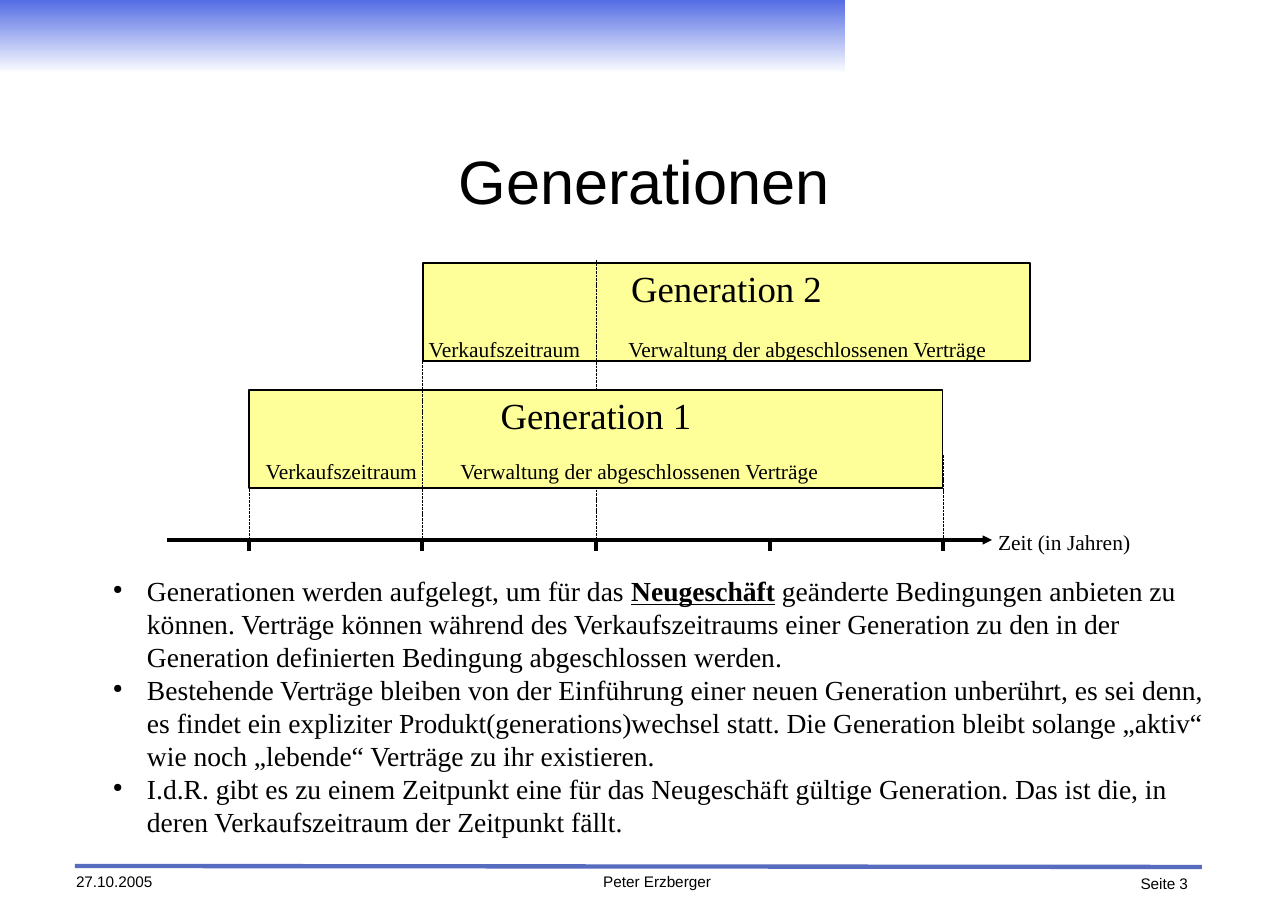
import pptx
import pptx.util
import pptx.dml.color
import pptx.enum.dml
import pptx.enum.shapes
import pptx.enum.text
import lxml.etree

# Content
TITLE = "Generationen"
SALE = "Verkaufszeitraum"
ADMIN = "Verwaltung der abgeschlossenen Verträge"
AXIS_LABEL = "Zeit (in Jahren)"
# name, left, top, width, labels as (text, left, width), label top
GENERATION_2 = ("Generation 2", 423, 263, 607, [(SALE, 423, 163), (ADMIN, 596, 423)], 336)
GENERATION_1 = ("Generation 1", 249, 390, 694, [(SALE, 260, 163), (ADMIN, 428, 423)], 458)
BULLETS = [
    [("Generationen werden aufgelegt, um für das ", False), ("Neugeschäft", True),
     (" geänderte Bedingungen anbieten zu können. Verträge können während des "
      "Verkaufszeitraums einer Generation zu den in der Generation definierten "
      "Bedingung abgeschlossen werden.", False)],
    [("Bestehende Verträge bleiben von der Einführung einer neuen Generation unberührt, "
      "es sei denn, es findet ein expliziter Produkt(generations)wechsel statt. Die "
      "Generation bleibt solange „aktiv“ wie noch „lebende“ Verträge zu ihr existieren.",
      False)],
    [("I.d.R. gibt es zu einem Zeitpunkt eine für das Neugeschäft gültige Generation. "
      "Das ist die, in deren Verkaufszeitraum der Zeitpunkt fällt.", False)],
]
# text, left, top, width, alignment
FOOTERS = [("27.10.2005", 76, 872, 129, "LEFT"),
           ("Peter Erzberger", 568, 872, 178, "CENTER"),
           ("Seite 3", 1102, 874, 86, "RIGHT")]
BLACK, YELLOW, BLUE, RULE_BLUE, WHITE = "000000", "FFFF99", "556DE4", "576BBF", "FFFFFF"
SANS, SERIF = "Arial", "Times New Roman"

# Time axis
AXIS_Y = 540
YEARS = [round(249 + 173.5 * year) for year in range(5)]

ALIGN = pptx.enum.text.PP_ALIGN
ANCHOR = pptx.enum.text.MSO_ANCHOR
RECTANGLE = pptx.enum.shapes.MSO_SHAPE.RECTANGLE
STRAIGHT = pptx.enum.shapes.MSO_CONNECTOR.STRAIGHT


def px(length):
    return pptx.util.Emu(round(length * 914400 / 110.2))


def color(value):
    return pptx.dml.color.RGBColor.from_string(value)


def add_xml(parent, tag, **attributes):
    child = lxml.etree.SubElement(parent, pptx.oxml.ns.qn(tag))
    for key, value in attributes.items():
        child.set(key, value)


def style(run, size, font):
    run.font.size = pptx.util.Pt(size)
    run.font.name = font
    run.font.color.rgb = color(BLACK)


def prepare(frame, anchor=ANCHOR.TOP, top=0):
    frame.word_wrap = True
    frame.vertical_anchor = anchor
    frame.margin_left = frame.margin_right = frame.margin_bottom = 0
    frame.margin_top = px(top)


def write(frame, text, size, font, align):
    frame.text = text
    paragraph = frame.paragraphs[0]
    paragraph.alignment = align
    style(paragraph.runs[0], size, font)


def add_text(text, left, top, width, height, size, font, align, anchor=ANCHOR.TOP):
    frame = slide.shapes.add_textbox(px(left), px(top), px(width), px(height)).text_frame
    prepare(frame, anchor)
    write(frame, text, size, font, align)


def add_rectangle(left, top, width, height):
    rectangle = slide.shapes.add_shape(RECTANGLE, px(left), px(top), px(width), px(height))
    rectangle.shadow.inherit = False
    return rectangle


def add_line(x1, y1, x2, y2, width=0, line_color=BLACK, dashed=False, arrow=False):
    line = slide.shapes.add_connector(STRAIGHT, px(x1), px(y1), px(x2), px(y2))
    line.line.color.rgb = color(line_color)
    line.line.width = pptx.util.Pt(width)
    if dashed:
        line.line.dash_style = pptx.enum.dml.MSO_LINE.SQUARE_DOT
    if arrow:
        add_xml(line.line._get_or_add_ln(), "a:tailEnd", type="triangle")
    add_xml(line._element.spPr, "a:effectLst")


def add_dashes(x, top):
    add_line(x, top, x, AXIS_Y, width=0.6, dashed=True)


def add_generation(name, left, top, width, labels, label_top):
    bar = add_rectangle(left, top, width, 98)
    bar.fill.solid()
    bar.fill.fore_color.rgb = color(YELLOW)
    bar.line.color.rgb = color(BLACK)
    bar.line.width = 0
    prepare(bar.text_frame, top=3)
    write(bar.text_frame, name, 24, SERIF, ALIGN.CENTER)
    for text, label_left, label_width in labels:
        add_text(text, label_left, label_top, label_width, 24, 14, SERIF, ALIGN.CENTER)


deck = pptx.Presentation()
deck.slide_width, deck.slide_height = px(1288), px(911)
slide = deck.slides.add_slide(deck.slide_layouts[6])

# Header band, footer rule and footer
band = add_rectangle(0, 0, 845, 74)
band.fill.gradient()
band.fill.gradient_angle = 270
for stop, stop_color in zip(band.fill.gradient_stops, (BLUE, WHITE)):
    stop.color.rgb = color(stop_color)
band.line.fill.background()
add_line(75, 866, 1202, 867, width=2.83, line_color=RULE_BLUE)
for text, left, top, width, align in FOOTERS:
    add_text(text, left, top, width, 22, 10, SANS, ALIGN[align])

# Title
add_text(TITLE, 131, 105, 1026, 151, 40, SANS, ALIGN.CENTER, ANCHOR.MIDDLE)

# Generations, with the third year's dashes passing behind Generation 1
add_generation(*GENERATION_2)
add_dashes(YEARS[2], 260)
add_generation(*GENERATION_1)
for year, top in ((0, 453), (1, 325), (4, 455)):
    add_dashes(YEARS[year], top)

# Axis with one tick per year
add_line(167, AXIS_Y, 992, AXIS_Y, arrow=True)
for x in YEARS:
    add_line(x, AXIS_Y, x, AXIS_Y + 11)
add_text(AXIS_LABEL, 998, 529, 152, 24, 14, SERIF, ALIGN.LEFT)

# Explanations
explanations = slide.shapes.add_textbox(px(113), px(574), px(1113), px(283)).text_frame
prepare(explanations)
for index, parts in enumerate(BULLETS):
    paragraph = explanations.add_paragraph() if index else explanations.paragraphs[0]
    paragraph.line_spacing = pptx.util.Pt(21.6)
    properties = paragraph._p.get_or_add_pPr()
    properties.set("marL", str(px(34)))
    properties.set("indent", str(-px(34)))
    add_xml(properties, "a:buSzPct", val="45000")
    add_xml(properties, "a:buChar", char="●")
    for text, emphasized in parts:
        run = paragraph.add_run()
        run.text = text
        style(run, 18, SERIF)
        if emphasized:
            run.font.bold = run.font.underline = True

deck.save("out.pptx")
